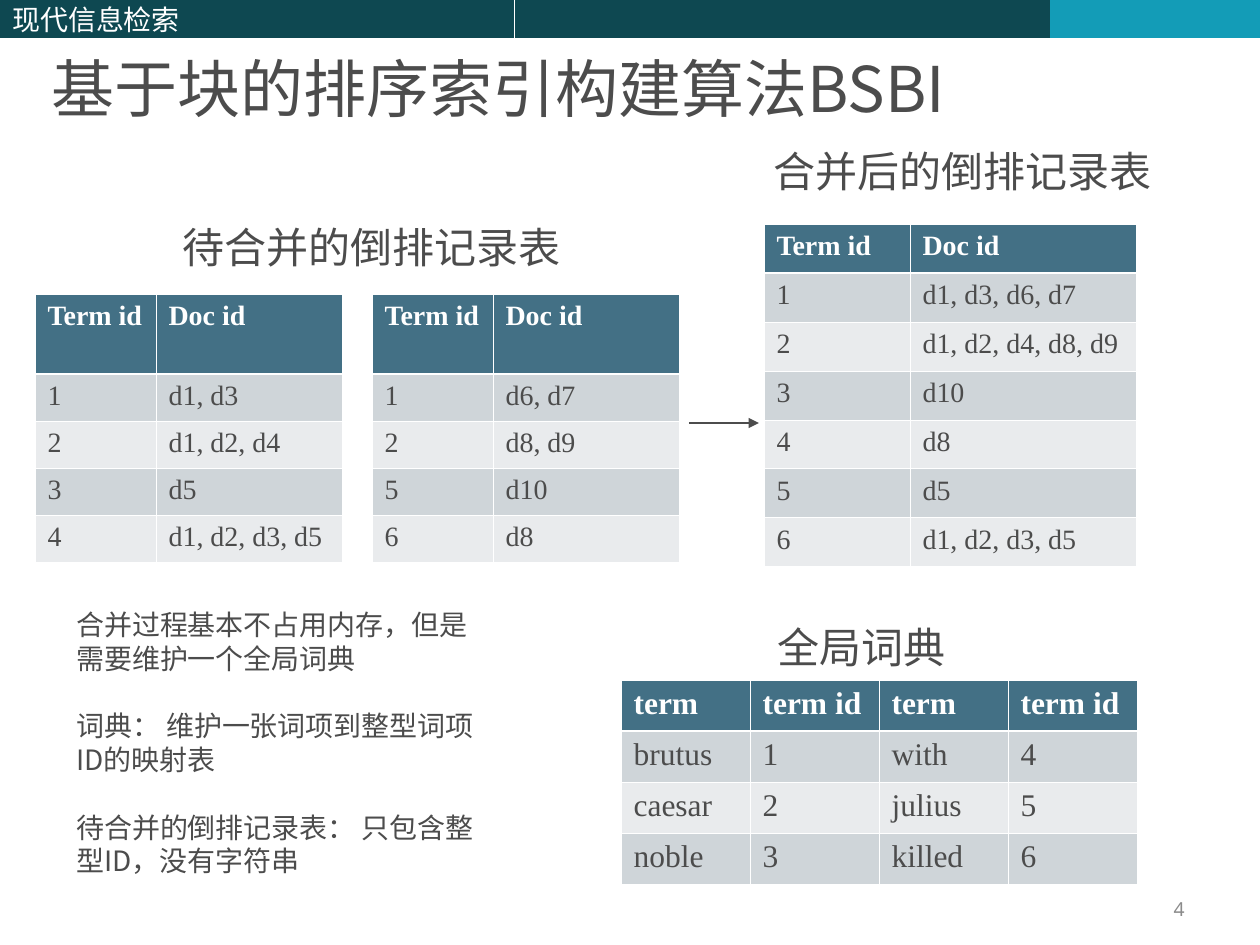
"""Build a slide on merging postings lists with BSBI."""
from lxml.etree import SubElement
from pptx import Presentation
from pptx.dml.color import RGBColor
from pptx.enum.shapes import MSO_CONNECTOR as Connector, MSO_SHAPE as Shape
from pptx.enum.text import MSO_ANCHOR as Anchor, PP_ALIGN as Align
from pptx.oxml.ns import qn
from pptx.util import Pt

COLORS = {
    "ink": "4C4C4C", "white": "FFFFFF", "bar": "0E4851", "accent": "139CB7",
    "header": "437085", "odd": "CFD5D9", "even": "E9EBED", "number": "8B8B8B",
}
SANS, CJK, SERIF = "Noto Sans", "Noto Sans CJK SC", "Times New Roman"
EMU_PER_PX = 914400 / 126


def px(length):
    return round(length * EMU_PER_PX)


def rgb(name):
    return RGBColor.from_string(COLORS[name])


class SlideBuilder:
    def __init__(self, page):
        self.page = page

    def style(self, frame, size, color="ink", font=CJK, bold=False):
        for para in frame.paragraphs:
            for span in para.runs:
                span.font.size = Pt(size)
                span.font.name = font
                span.font.bold = bold
                span.font.color.rgb = rgb(color)
                east_asian = CJK if font == SANS else font
                SubElement(span.font._element, qn("a:ea"), typeface=east_asian)

    def bar(self, left, width, color, text=""):
        box = self.page.shapes.add_shape(Shape.RECTANGLE, px(left), 0, px(width), px(38))
        box.shadow.inherit = False
        box.fill.solid()
        box.fill.fore_color.rgb = rgb(color)
        box.line.fill.background()
        if text:
            box.text_frame.text = text
            box.text_frame.vertical_anchor = Anchor.MIDDLE
            box.text_frame.paragraphs[0].alignment = Align.LEFT
            self.style(box.text_frame, 16, "white")

    def text(self, left, top, width, height, text, size, color="ink", font=CJK,
             anchor=Anchor.TOP, align=Align.LEFT, wrap=True):
        box = self.page.shapes.add_textbox(px(left), px(top), px(width), px(height))
        frame = box.text_frame
        frame.word_wrap = wrap
        frame.vertical_anchor = anchor
        frame.text = text
        for para in frame.paragraphs:
            para.alignment = align
        self.style(frame, size, color, font)
        return frame

    def heading(self, left, top, width, text):
        self.text(left, top, width, 63, text, 24, font=SANS, wrap=False)

    def notes(self, left, top, width, height, paragraphs, line):
        frame = self.text(left, top, width, height, "\n".join(paragraphs), 16)
        for index, para in enumerate(frame.paragraphs):
            para.line_spacing = Pt(line)
            para.space_before = Pt(line if index else 0)

    def borders(self, cell, row):
        thick = {0: "lnB", 1: "lnT"}.get(row)
        for side in ("lnL", "lnR", "lnT", "lnB"):
            width = Pt(1.47 if side == thick else 0.45)
            line = SubElement(cell._tc.get_or_add_tcPr(), qn(f"a:{side}"), w=str(width))
            fill = SubElement(line, qn("a:solidFill"))
            SubElement(fill, qn("a:srgbClr"), val=COLORS["white"])

    def table(self, left, top, columns, heights, rows, size=16):
        grid = self.page.shapes.add_table(
            len(rows), len(columns), px(left), px(top), px(sum(columns)), px(sum(heights))).table
        for column, width in zip(grid.columns, columns):
            column.width = px(width)
        for index, (height, values) in enumerate(zip(heights, rows)):
            grid.rows[index].height = px(height)
            fill = "header" if index == 0 else "odd" if index % 2 else "even"
            for cell, value in zip(grid.rows[index].cells, values):
                self.borders(cell, index)
                cell.fill.solid()
                cell.fill.fore_color.rgb = rgb(fill)
                cell.text_frame.text = value
                self.style(cell.text_frame, size, "ink" if index else "white", SERIF, index == 0)

    def arrow(self, start, end, y):
        line = self.page.shapes.add_connector(Connector.STRAIGHT, px(start), px(y), px(end), px(y))
        line.line.color.rgb = rgb("ink")
        line.line.width = Pt(0.75)
        SubElement(line.line._get_or_add_ln(), qn("a:tailEnd"), type="triangle")
        SubElement(line._element.spPr, qn("a:effectLst"))


def main():
    deck = Presentation()
    deck.slide_width, deck.slide_height = px(1260), px(945)
    slide = SlideBuilder(deck.slides.add_slide(deck.slide_layouts[6]))

    slide.bar(0, 514, "bar", "现代信息检索")
    slide.bar(515, 535, "bar")
    slide.bar(1050, 210, "accent")
    slide.text(39, 1, 1191, 130, "基于块的排序索引构建算法BSBI", 36, anchor=Anchor.BOTTOM)
    slide.text(903, 892, 294, 34, "4", 11, "number", SANS, Anchor.MIDDLE, Align.RIGHT)
    slide.notes(64, 601, 436, 282, [
        "合并过程基本不占用内存，但是需要维护一个全局词典",
        "词典： 维护一张词项到整型词项ID的映射表",
        "待合并的倒排记录表： 只包含整型ID，没有字符串",
    ], 19.3)

    postings_header = ("Term id", "Doc id")
    blocks = [
        [("1", "d1, d3"), ("2", "d1, d2, d4"), ("3", "d5"), ("4", "d1, d2, d3, d5")],
        [("1", "d6, d7"), ("2", "d8, d9"), ("5", "d10"), ("6", "d8")],
    ]
    for index, block in enumerate(blocks):
        slide.table(35 + index * 337, 294, [121, 186], [80] + [47] * 4, [postings_header] + block)
    slide.heading(170, 215, 403, "待合并的倒排记录表")

    merged = [("1", "d1, d3, d6, d7"), ("2", "d1, d2, d4, d8, d9"), ("3", "d10"),
              ("4", "d8"), ("5", "d5"), ("6", "d1, d2, d3, d5")]
    slide.table(764, 224, [146, 226], [49] * 7, [postings_header] + merged)
    slide.arrow(689, 759, 423)
    slide.heading(761, 139, 403, "合并后的倒排记录表")

    dictionary = [("term", "term id") * 2, ("brutus", "1", "with", "4"),
                  ("caesar", "2", "julius", "5"), ("noble", "3", "killed", "6")]
    slide.table(621, 680, [129] * 4, [51] * 4, dictionary, 18)
    slide.heading(765, 615, 193, "全局词典")

    deck.save("out.pptx")


if __name__ == "__main__":
    main()
